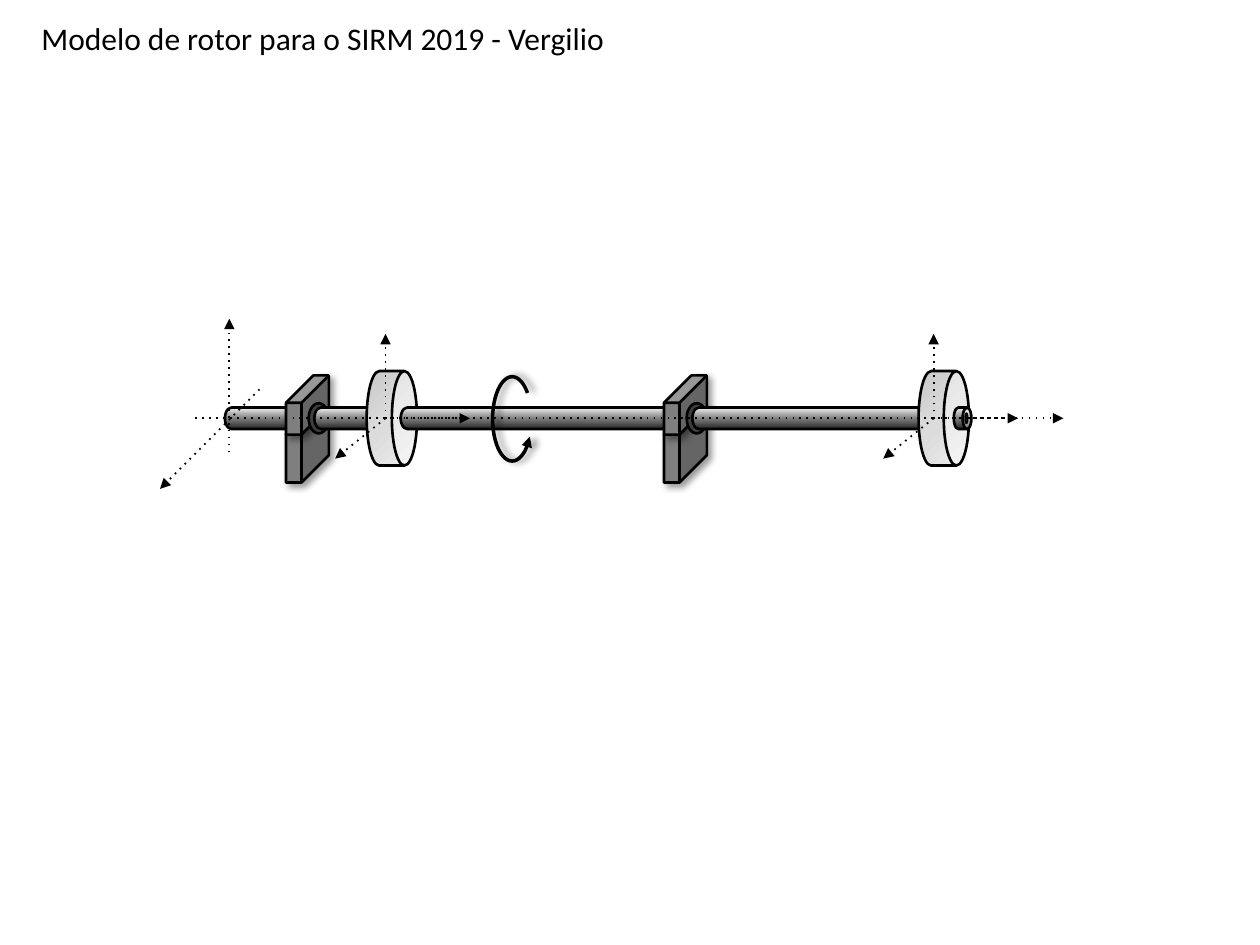
from lxml import etree
from pptx import Presentation
from pptx.dml.color import RGBColor
from pptx.enum.shapes import MSO_CONNECTOR, MSO_SHAPE
from pptx.enum.text import MSO_AUTO_SIZE
from pptx.oxml.ns import qn
from pptx.util import Inches, Pt

CAN, CUBE, OVAL, ARC = MSO_SHAPE.CAN, MSO_SHAPE.CUBE, MSO_SHAPE.OVAL, MSO_SHAPE.ARC
STRAIGHT = MSO_CONNECTOR.STRAIGHT
GROW = MSO_AUTO_SIZE.SHAPE_TO_FIT_TEXT
AXIS_Y = 3.32  # height of the shaft's centre line


def color(value):
    return RGBColor.from_string(value)


class RotorDrawing:
    font = "Calibri"
    black = "000000"
    steel = ("F2F2F2", "7F7F7F", "262626")
    disk_tones = ("C9C9C9", "DCDCDC", "EDEDED")
    block_fill = "7F7F7F"
    bore_fill = "3F3F3F"

    def __init__(self, page):
        self.page = page
        self.shapes = page.shapes

    def start_group(self):
        self.shapes = self.page.shapes.add_group_shape().shapes

    def title(self, text, left, top, width, height):
        box = self.page.shapes.add_textbox(*map(Inches, (left, top, width, height)))
        frame = box.text_frame
        frame.word_wrap = True
        frame.auto_size = GROW
        frame.text = text
        font = frame.paragraphs[0].runs[0].font
        font.name, font.size = self.font, Pt(18)
        font.color.rgb = color(self.black)

    def outline(self, item, weight):
        item.line.color.rgb = color(self.black)
        item.line.width = Pt(weight)

    def shape(self, kind, left, top, width, height, fill=None, weight=1.5):
        item = self.shapes.add_shape(kind, *map(Inches, (left, top, width, height)))
        item.shadow.inherit = False
        self.outline(item, weight)
        if fill:
            item.fill.solid()
            item.fill.fore_color.rgb = color(fill)
        else:
            item.fill.background()
        return item

    def add_shadow(self, item, angle):
        effects = item._element.spPr.find(qn("a:effectLst"))
        shadow = etree.SubElement(effects, qn("a:outerShdw"), blurRad=str(Pt(4)),
                                  dist=str(Pt(3)), dir=str(angle * 60000),
                                  algn="tl", rotWithShape="0")
        tone = etree.SubElement(shadow, qn("a:srgbClr"), val=self.black)
        etree.SubElement(tone, qn("a:alpha"), val="40000")

    def cylinder(self, center_x, length, diameter, bulge, tones, angle=0):
        item = self.shape(CAN, center_x - diameter / 2, AXIS_Y - length / 2,
                          diameter, length)
        item.rotation = 90
        item.adjustments[0] = bulge
        item.fill.gradient()
        item.fill.gradient_angle = angle
        stops = item._element.spPr.find(qn("a:gradFill")).find(qn("a:gsLst"))
        for stop in list(stops):
            stops.remove(stop)
        for position, tone in zip((0, 50000, 100000), tones):
            stop = etree.SubElement(stops, qn("a:gs"), pos=str(position))
            etree.SubElement(stop, qn("a:srgbClr"), val=tone)

    def rod(self, center_x, length):
        self.cylinder(center_x, length, 0.17, 0.595, self.steel)

    def disk(self, center_x):
        self.cylinder(center_x, 0.4, 0.75, 0.5, self.disk_tones, 45)

    def bearing(self, left):
        for top, height in ((3.23, 0.6), (2.98, 0.47)):
            block = self.shape(CUBE, left, top, 0.34, height, self.block_fill)
            block.adjustments[0] = 0.64
            self.add_shadow(block, 45)
        self.shape(OVAL, left + 0.18, 3.2, 0.16, 0.24, self.bore_fill)

    def dotted_arrow(self, start, tip):
        arrow = self.shapes.add_connector(STRAIGHT, *map(Inches, (*start, *tip)))
        self.outline(arrow, 1)
        line = arrow.line._get_or_add_ln()
        etree.SubElement(line, qn("a:prstDash"), val="dot")
        etree.SubElement(line, qn("a:tailEnd"), type="triangle")
        etree.SubElement(arrow._element.spPr, qn("a:effectLst"))

    def disk_axes(self, x):
        for dx, dy in ((0, -0.67), (0.67, 0), (-0.4, 0.32)):
            self.dotted_arrow((x, AXIS_Y), (x + dx, AXIS_Y + dy))

    def rotation_arrow(self, left, top, width, height):
        arc = self.shape(ARC, left, top, width, height, weight=2)
        arc.adjustments[0], arc.adjustments[1] = 26.93, 180.44
        etree.SubElement(arc.line._get_or_add_ln(), qn("a:headEnd"), type="triangle")
        self.add_shadow(arc, 0)


def main():
    deck = Presentation()
    deck.slide_width, deck.slide_height = Inches(10), Inches(7.5)
    drawing = RotorDrawing(deck.slides.add_slide(deck.slide_layouts[6]))
    drawing.title("Modelo de rotor para o SIRM 2019 - Vergilio", 0.23, 0.1, 4.72, 0.4)
    drawing.start_group()

    # Shaft, bearings and disks, from left to right
    drawing.rod(2.08, 0.59)
    drawing.bearing(2.27)
    drawing.rod(2.79, 0.59)
    drawing.disk(3.11)
    drawing.rod(4.38, 2.4)
    drawing.bearing(5.27)
    drawing.rod(6.47, 1.95)
    drawing.disk(7.49)
    drawing.rod(7.64, 0.14)
    drawing.shape(OVAL, 7.66, 3.28, 0.02, 0.08, drawing.bore_fill, 1)

    # Fixed axes
    drawing.dotted_arrow((1.82, 3.59), (1.82, 2.53))
    drawing.dotted_arrow((1.55, AXIS_Y), (8.44, AXIS_Y))
    drawing.dotted_arrow((2.06, 3.09), (1.27, 3.88))

    # Direction of rotation and the axes of each disk
    drawing.rotation_arrow(3.91, 2.99, 0.31, 0.67)
    for x in (3.06, 7.41):
        drawing.disk_axes(x)

    deck.save("out.pptx")


if __name__ == "__main__":
    main()
